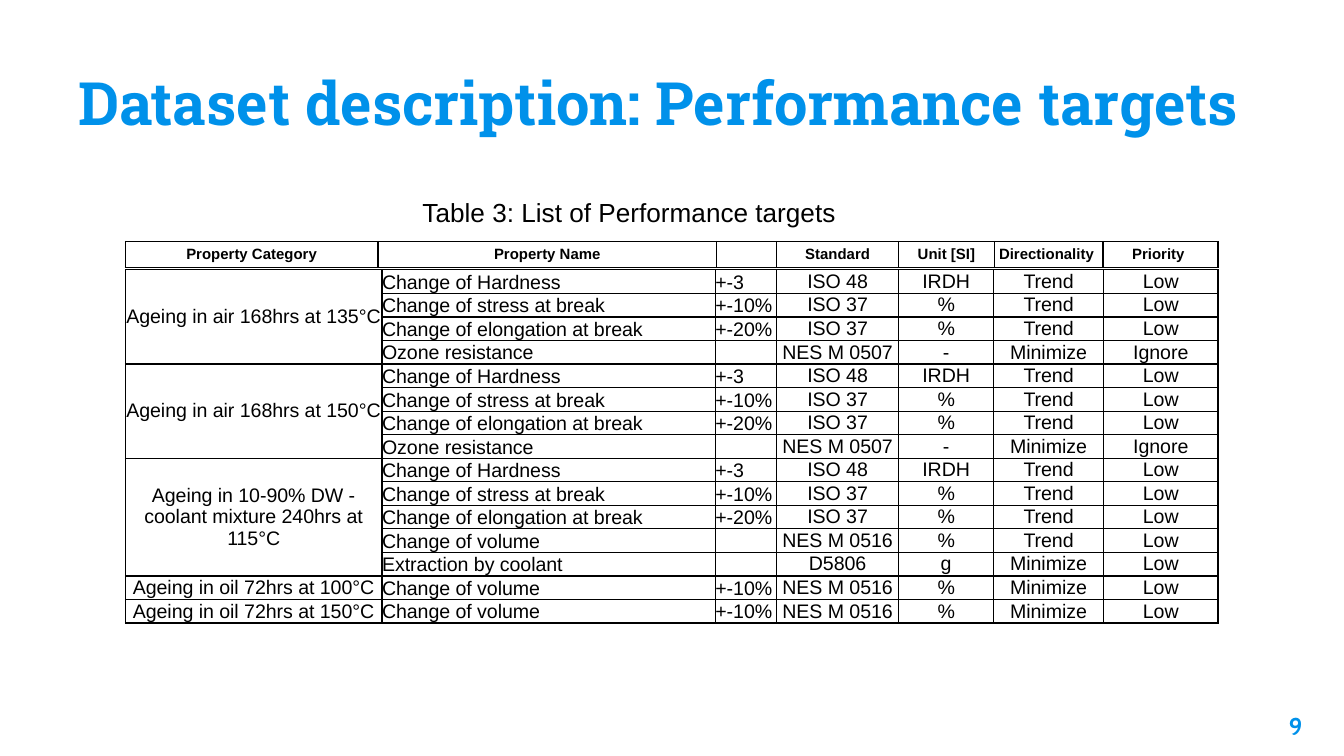
"""Build the slide listing performance targets by ageing condition."""
import lxml.etree
import pptx
import pptx.dml.color
import pptx.enum.text
import pptx.oxml.ns
import pptx.util

COLORS = {"accent": "0091EA", "ink": "000000"}
UNIT = pptx.util.Inches(0.1)
ALIGN = pptx.enum.text.PP_ALIGN
ANCHOR = pptx.enum.text.MSO_ANCHOR
qn = pptx.oxml.ns.qn

deck = pptx.Presentation()
deck.slide_width = 100 * UNIT
deck.slide_height = deck.slide_width * 9 // 16
slide = deck.slides.add_slide(deck.slide_layouts[6])


def write(frame, text, size, font, color, bold, align):
    paragraph = frame.paragraphs[0]
    paragraph.alignment = align
    if not text:
        end = lxml.etree.SubElement(paragraph._p, qn("a:endParaRPr"))
        end.set("sz", str(int(size * 100)))
        return
    run = paragraph.add_run()
    run.text = text
    run.font.size = pptx.util.Pt(size)
    run.font.name = font
    run.font.bold = bold
    run.font.color.rgb = pptx.dml.color.RGBColor.from_string(COLORS[color])


def add_grid(top, columns, row_height, rows, size, bold, left_aligned):
    grid = slide.shapes.add_table(
        len(rows), len(columns), int(9.33 * UNIT), int(top * UNIT),
        int(sum(columns) * UNIT), int(row_height * len(rows) * UNIT)).table
    grid.first_row = grid.horz_banding = False
    for column, width in zip(grid.columns, columns):
        column.width = int(width * UNIT)
    for r, row in enumerate(rows):
        grid.rows[r].height = int(row_height * UNIT)
        for c, text in enumerate(row):
            cell = grid.cell(r, c)
            cell.margin_left = cell.margin_right = 0
            cell.margin_top = cell.margin_bottom = 0
            is_left = c in left_aligned
            cell.vertical_anchor = ANCHOR.BOTTOM if is_left else ANCHOR.MIDDLE
            cell.fill.background()
            write(cell.text_frame, text, size, "Arial", "ink", bold,
                  ALIGN.LEFT if is_left else ALIGN.CENTER)
            properties = cell._tc.get_or_add_tcPr()
            for i, side in enumerate(("lnL", "lnR", "lnT", "lnB")):
                border = lxml.etree.Element(qn(f"a:{side}"), w=str(pptx.util.Pt(0.75)))
                paint = lxml.etree.SubElement(border, qn("a:solidFill"))
                lxml.etree.SubElement(paint, qn("a:srgbClr"), val=COLORS["ink"])
                properties.insert(i, border)
    return grid


labels = [
    ("9", 91.9, 51.9, 6, 4.3, 1, 13, "Cabin", "accent", True, ALIGN.RIGHT, ANCHOR.TOP),
    ("Dataset description: Performance targets", 4.84, 3.55, 96.3, 7.7, 1,
     32, "Roboto Slab", "accent", True, ALIGN.LEFT, ANCHOR.BOTTOM),
    ("Table 3: List of Performance targets", 30.45, 14.1, 46.8, 3.4, 0.5,
     14, "Arial", "ink", False, ALIGN.LEFT, ANCHOR.TOP),
]
for text, left, top, width, height, inset, size, font, color, bold, align, anchor in labels:
    frame = slide.shapes.add_textbox(
        *(int(n * UNIT) for n in (left, top, width, height))).text_frame
    frame.word_wrap = True
    frame.vertical_anchor = anchor
    frame.margin_left = frame.margin_right = UNIT
    frame.margin_top = frame.margin_bottom = int(inset * UNIT)
    write(frame, text, size, font, color, bold, align)

headings = ["Property Category", "Property Name", "", "Standard", "Unit [SI]",
            "Directionality ", "Priority "]
add_grid(17.97, [18.8, 25.2, 4.45, 9.1, 7.1, 8.1, 8.55], 1.95, [headings], 8, True, ())

mechanical = [
    ("Change of Hardness", "+-3", "ISO 48", "IRDH", "Trend", "Low"),
    ("Change of stress at break", "+-10%", "ISO 37", "%", "Trend", "Low"),
    ("Change of elongation at break", "+-20%", "ISO 37", "%", "Trend", "Low"),
]
ozone = ("Ozone resistance", "", "NES M 0507", "-", "Minimize", "Ignore")
coolant = [
    ("Change of volume", "", "NES M 0516", "%", "Trend", "Low"),
    ("Extraction by coolant", "", "D5806", "g", "Minimize", "Low"),
]
oil_volume = ("Change of volume", "+-10%", "NES M 0516", "%", "Minimize", "Low")
conditions = [
    ("Ageing in air 168hrs at 135°C", mechanical + [ozone]),
    ("Ageing in air 168hrs at 150°C", mechanical + [ozone]),
    ("Ageing in 10-90% DW - coolant mixture 240hrs at 115°C", mechanical + coolant),
    ("Ageing in oil 72hrs at 100°C", [oil_volume]),
    ("Ageing in oil 72hrs at 150°C", [oil_volume]),
]
targets = [("" if i else condition, *target)
           for condition, group in conditions for i, target in enumerate(group)]
target_grid = add_grid(20.08, [19.1, 24.8, 4.55, 9.1, 7.05, 8.2, 8.5], 1.75,
                       targets, 10.5, False, (1, 2))
first = 0
for condition, group in conditions:
    last = first + len(group) - 1
    if last > first:
        target_grid.cell(first, 0).merge(target_grid.cell(last, 0))
    first = last + 1

deck.save("out.pptx")
